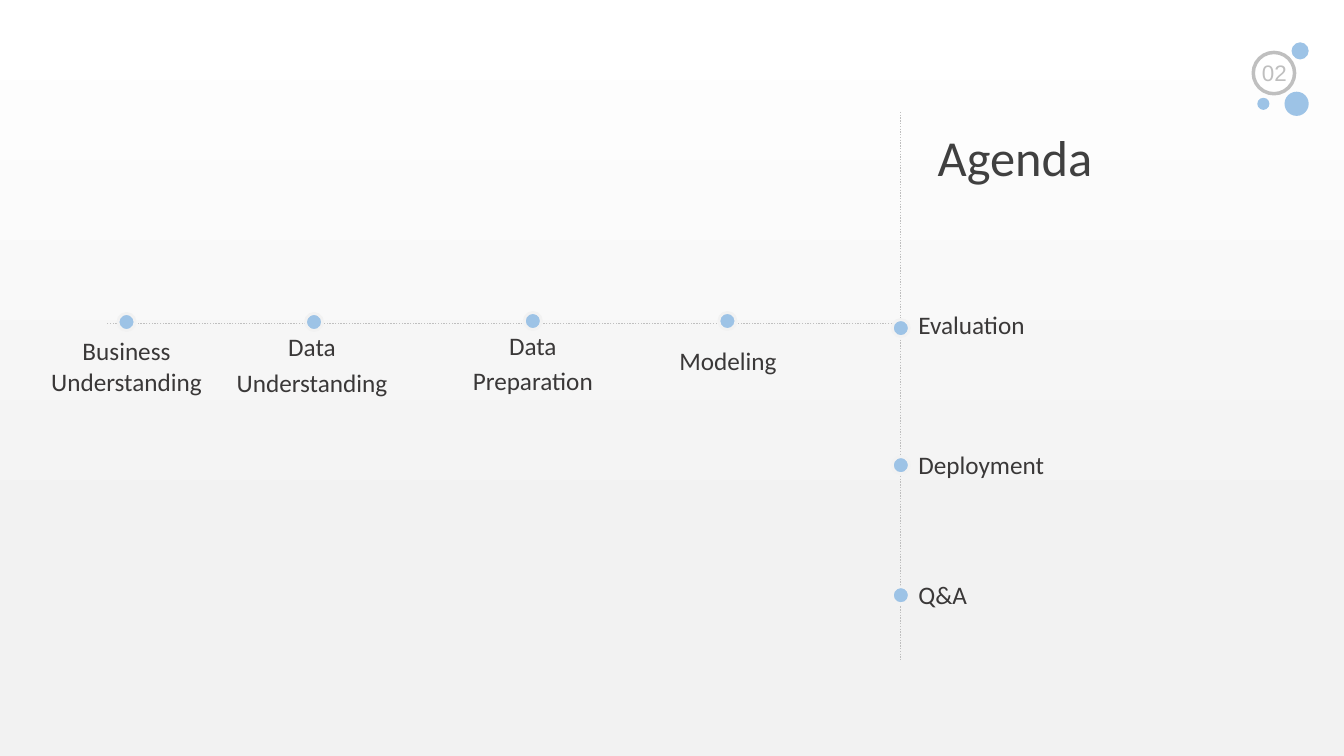
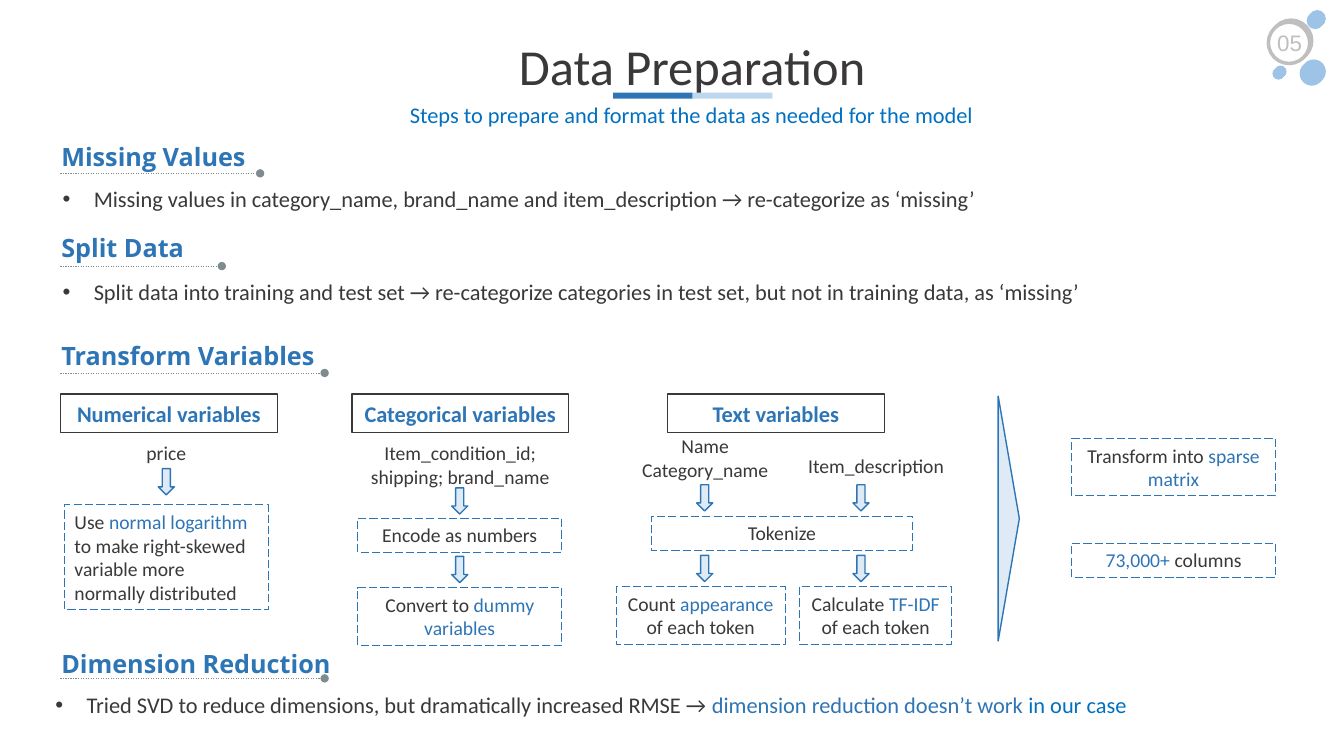
from dataclasses import dataclass

from lxml import etree
from pptx import Presentation
from pptx.dml.color import RGBColor
from pptx.enum.dml import MSO_LINE
from pptx.enum.shapes import MSO_CONNECTOR, MSO_SHAPE
from pptx.enum.text import MSO_ANCHOR, MSO_AUTO_SIZE, PP_ALIGN
from pptx.oxml.ns import qn
from pptx.util import Emu, Pt

LEFT, CENTER = PP_ALIGN.LEFT, PP_ALIGN.CENTER
TOP, MIDDLE = MSO_ANCHOR.TOP, MSO_ANCHOR.MIDDLE
NO_AUTOFIT = MSO_AUTO_SIZE.NONE
STRAIGHT = MSO_CONNECTOR.STRAIGHT
OVAL, RECTANGLE = MSO_SHAPE.OVAL, MSO_SHAPE.RECTANGLE
DOWN_ARROW, TRIANGLE = MSO_SHAPE.DOWN_ARROW, MSO_SHAPE.ISOSCELES_TRIANGLE
DOTTED, DASHED, LONG_DASHED = MSO_LINE.ROUND_DOT, MSO_LINE.DASH, MSO_LINE.LONG_DASH

EMU_PER_PX = 9144
SLIDE_WIDTH, SLIDE_HEIGHT = 1333, 750


@dataclass(frozen=True)
class Theme:
    ink: str = "3A3838"
    title_ink: str = "404040"
    accent: str = "2E75B6"
    bright: str = "0070C0"
    dot: str = "9DC3E6"
    pale: str = "BDD7EE"
    tint: str = "DEEBF7"
    mist: str = "F2F2F2"
    silver: str = "BFBFBF"
    rule: str = "7F8C8D"
    white: str = "FFFFFF"
    body_font: str = "Calibri"
    heading_font: str = "Open Sans"
    number_font: str = "Arial"
    title_size: int = 36
    heading_size: int = 18
    body_size: int = 16
    small_size: int = 14


THEME = Theme()


def px(value):
    return Emu(value * EMU_PER_PX)


def rgb(color):
    return RGBColor.from_string(color)


def place(shape, left, top, width, height):
    shape.left, shape.top = px(left), px(top)
    shape.width, shape.height = px(width), px(height)


def write(shape, paragraphs, size, color=THEME.ink, font=THEME.body_font,
          bold=False, align=LEFT, anchor=TOP, wrap=True):
    """Fill a shape; each paragraph is a string or a list of (text, color) runs."""
    frame = shape.text_frame
    frame.auto_size = NO_AUTOFIT
    frame.word_wrap = wrap
    frame.vertical_anchor = anchor
    for index, content in enumerate(paragraphs):
        paragraph = frame.add_paragraph() if index else frame.paragraphs[0]
        paragraph.alignment = align
        paragraph.space_before = Pt(0)
        pieces = [(content, color)] if isinstance(content, str) else content
        for text, run_color in pieces:
            run = paragraph.add_run()
            run.text = text
            run.font.name = font
            run.font.size = Pt(size)
            run.font.bold = bold
            run.font.color.rgb = rgb(run_color)


def add_label(shapes, box, paragraphs, size, **style):
    label = shapes.add_textbox(*map(px, box))
    write(label, paragraphs, size, **style)
    return label


def add_shape(shapes, kind, box, fill=None, line=None, weight=1, dash=None):
    shape = shapes.add_shape(kind, *map(px, box))
    shape.shadow.inherit = False
    if fill:
        shape.fill.solid()
        shape.fill.fore_color.rgb = rgb(fill)
    else:
        shape.fill.background()
    if line:
        shape.line.color.rgb = rgb(line)
        shape.line.width = Pt(weight)
        if dash:
            shape.line.dash_style = dash
    else:
        shape.line.fill.background()
    return shape


def add_line(slide, start, end, color, weight, dash, oval_end=False):
    connector = slide.shapes.add_connector(STRAIGHT, *map(px, start + end))
    connector.line.color.rgb = rgb(color)
    connector.line.width = Pt(weight)
    connector.line.dash_style = dash
    properties = connector.element.spPr
    if oval_end:
        etree.SubElement(properties.find(qn("a:ln")), qn("a:tailEnd"), type="oval")
    etree.SubElement(properties, qn("a:effectLst"))


def add_page_badge(slide, left, top, number):
    """Draw the ringed page number, with the ring's corner at left, top."""
    shapes = slide.shapes.add_group_shape().shapes
    add_shape(shapes, OVAL, (left, top, 41, 41), THEME.white, THEME.silver, 2.5)
    for across, down, size in ((38, -10, 17), (31, 39, 24), (4, 45, 12)):
        add_shape(shapes, OVAL, (left + across, top + down, size, size), THEME.dot)
    add_label(shapes, (left - 4, top + 2, 50, 37), [number], THEME.body_size,
              color=THEME.silver, font=THEME.number_font, align=CENTER)


def add_title(slide, box, text, **style):
    title = slide.shapes.title
    place(title, *box)
    write(title, [text], THEME.title_size, **style)
    return title


def add_stop(slide, left, top):
    add_shape(slide.shapes, OVAL, (left, top, 17, 17), THEME.dot, THEME.mist, 2)


def fill_bullet(placeholder, left, top, content):
    place(placeholder, left, top, 1172, 37)
    write(placeholder, [content], THEME.body_size)
    paragraph = placeholder.text_frame.paragraphs[0]
    paragraph.space_after = Pt(2)
    properties = paragraph._p.get_or_add_pPr()
    properties.set("marL", str(px(31)))
    properties.set("indent", str(px(-31)))
    etree.SubElement(properties, qn("a:buFont"), typeface="Arial")
    etree.SubElement(properties, qn("a:buChar"), char="•")


def add_section_heading(slide, text, top, rule_top, rule_end):
    add_line(slide, (60, rule_top), (rule_end, rule_top), THEME.rule, 0.25, DASHED, True)
    add_label(slide.shapes, (51, top, 320, 40), [text], THEME.heading_size,
              color=THEME.accent, font=THEME.heading_font, bold=True)


def add_group_header(slide, left, text):
    header = add_shape(slide.shapes, RECTANGLE, (left, 391, 215, 38), line=THEME.ink)
    write(header, [text], THEME.body_size, color=THEME.accent, bold=True,
          align=CENTER, anchor=MIDDLE)


def add_step(slide, box, content, align=CENTER):
    step = add_shape(slide.shapes, RECTANGLE, box, line=THEME.accent, weight=0.75,
                     dash=LONG_DASHED)
    write(step, [content], THEME.small_size, align=align)


def build_agenda(presentation):
    slide = presentation.slides.add_slide(
        presentation.slide_layouts.get_by_name("Title Only"))
    background = slide.background.fill
    background.gradient()
    background.gradient_angle = 270
    stops = ((0, THEME.white), (0.74, THEME.mist))
    for stop, (position, color) in zip(background.gradient_stops, stops):
        stop.position = position
        stop.color.rgb = rgb(color)

    add_title(slide, (920, 120, 295, 71), "Agenda", color=THEME.title_ink)
    add_line(slide, (893, 321), (105, 321), THEME.silver, 1, DOTTED)
    add_line(slide, (893, 111), (893, 654), THEME.silver, 1, DOTTED)

    phases = (
        (117, 311, (12, 328, 227, 71), ["Business Understanding"]),
        (303, 311, (196, 324, 227, 77), ["Data", "Understanding"]),
        (520, 310, (415, 323, 227, 77), ["Data", "Preparation"]),
        (713, 310, (657, 338, 130, 40), ["Modeling"]),
    )
    for left, top, box, lines in phases:
        add_stop(slide, left, top)
        label = add_label(slide.shapes, box, lines, THEME.heading_size, align=CENTER)
        for paragraph in label.text_frame.paragraphs[1:]:
            paragraph.space_before = Pt(3.6)

    closing = ((317, 302, "Evaluation"), (453, 441, "Deployment"), (582, 570, "Q&A"))
    for dot_top, label_top, text in closing:
        add_stop(slide, 885, dot_top)
        add_label(slide.shapes, (901, label_top, 212, 40), [text], THEME.heading_size)
    add_page_badge(slide, 1243, 52, "02")


def add_variable_flows(slide):
    ink, accent = THEME.ink, THEME.accent
    for left, text in ((60, "Numerical variables"), (349, "Categorical variables"),
                       (662, "Text variables")):
        add_group_header(slide, left, text)

    captions = (
        ((135, 433, 60, 34), ["price"]),
        ((357, 433, 199, 57), ["Item_condition_id;", "shipping; brand_name"]),
        ((626, 426, 147, 57), ["Name", "Category_name"]),
        ((791, 445, 156, 34), ["Item_description"]),
    )
    for box, lines in captions:
        add_label(slide.shapes, box, lines, THEME.small_size, align=CENTER, wrap=False)

    for left, tops in ((157, (465,)), (448, (484, 552)), (691, (481, 551)),
                       (846, (481, 551))):
        for top in tops:
            add_shape(slide.shapes, DOWN_ARROW, (left, top, 16, 26), THEME.tint, accent)

    add_step(slide, (64, 501, 202, 104),
             [("Use ", ink), ("normal logarithm ", accent),
              ("to make right-skewed variable more normally distributed", ink)], LEFT)
    steps = (
        ((355, 514, 202, 34), "Encode as numbers"),
        ((355, 583, 202, 57), [("Convert to ", ink), ("dummy variables", accent)]),
        ((646, 512, 259, 34), "Tokenize"),
        ((611, 582, 168, 57),
         [("Count ", ink), ("appearance ", accent), ("of each token", ink)]),
        ((793, 582, 151, 57),
         [("Calculate ", ink), ("TF-IDF", accent), (" of each token", ink)]),
        ((1063, 435, 202, 57), [("Transform into ", ink), ("sparse matrix", accent)]),
        ((1063, 539, 202, 34), [("73,000+", accent), (" columns", ink)]),
    )
    for box, content in steps:
        add_step(slide, box, content)
    funnel = add_shape(slide.shapes, TRIANGLE, (879, 504, 243, 21), THEME.tint, accent)
    funnel.rotation = 90


def build_data_preparation(presentation):
    slide = presentation.slides.add_slide(
        presentation.slide_layouts.get_by_name("Comparison"))
    for left, top in ((1260, 20), (1258, 22)):
        add_page_badge(slide, left, top, "05")

    title = add_title(slide, (401, 0, 571, 92), "Data Preparation", align=CENTER)
    title.text_frame.paragraphs[0].line_spacing = 1.5
    subtitle, *bullets = [slide.placeholders[index] for index in range(1, 5)]
    place(subtitle, 253, 94, 866, 40)
    write(subtitle, ["Steps to prepare and format the data as needed for the model"],
          THEME.body_size, color=THEME.bright, align=CENTER, anchor=MIDDLE)
    underline = slide.shapes.add_group_shape().shapes
    for index, color in enumerate((THEME.accent, THEME.pale)):
        add_shape(underline, RECTANGLE, (608 + 79 * index, 92, 79, 6), color)

    for heading in (("Missing Values", 135, 172, 258), ("Split Data", 226, 264, 220),
                    ("Transform Variables", 333, 370, 322),
                    ("Dimension Reduction", 638, 673, 322)):
        add_section_heading(slide, *heading)

    findings = (
        (52, 179, "Missing values in category_name, brand_name and item_description "
                  "→ re-categorize as ‘missing’"),
        (52, 271, "Split data into training and test set → re-categorize categories "
                  "in test set, but not in training data, as ‘missing’"),
        (45, 681, [("Tried SVD to reduce dimensions, but dramatically increased RMSE → ",
                    THEME.ink),
                   ("dimension reduction doesn’t work ", THEME.accent),
                   ("in our case", THEME.bright)]),
    )
    for placeholder, finding in zip(bullets, findings):
        fill_bullet(placeholder, *finding)
    add_variable_flows(slide)


def main():
    presentation = Presentation()
    presentation.slide_width = px(SLIDE_WIDTH)
    presentation.slide_height = px(SLIDE_HEIGHT)
    build_agenda(presentation)
    build_data_preparation(presentation)
    presentation.save("out.pptx")


if __name__ == "__main__":
    main()
